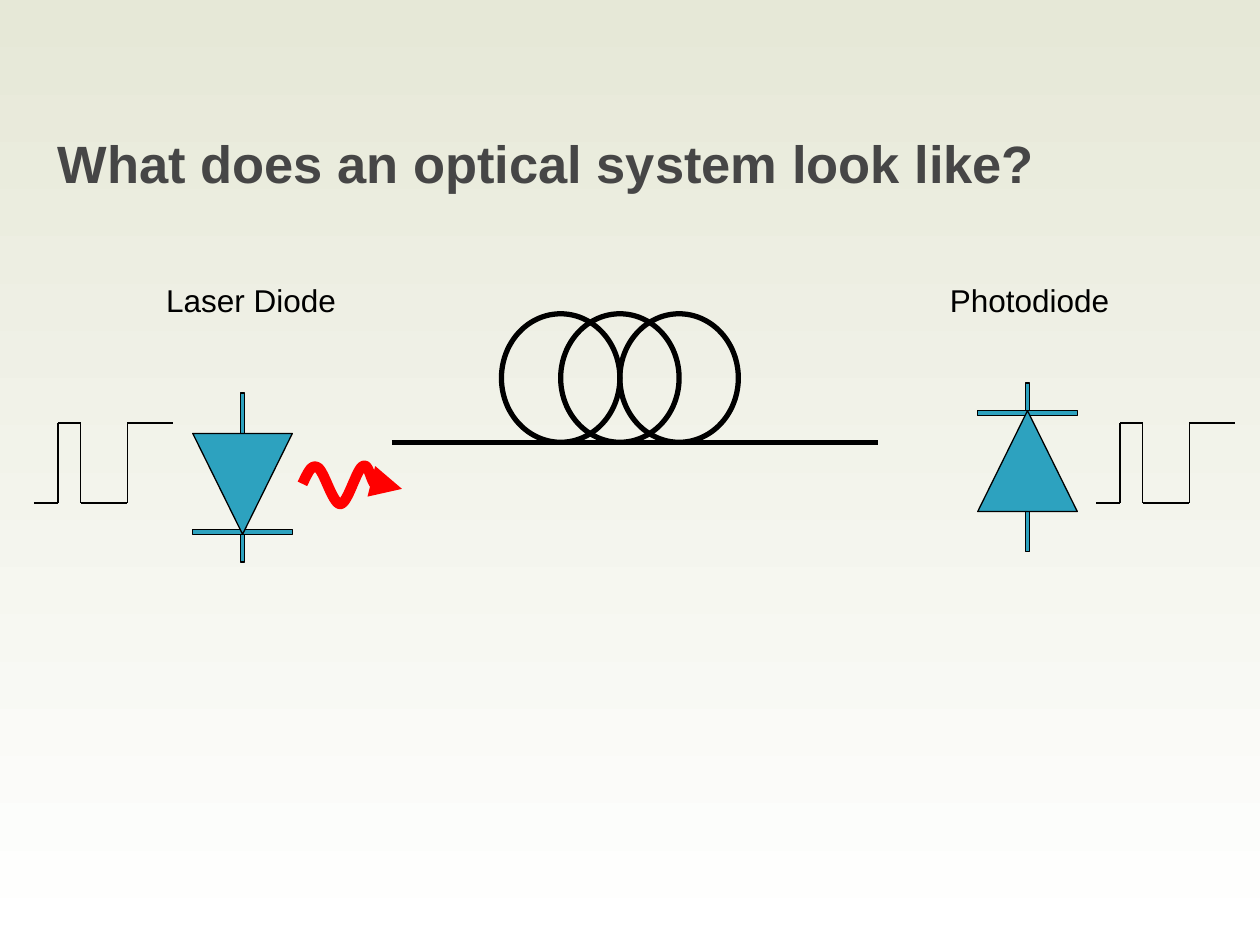
from dataclasses import dataclass

from lxml.etree import SubElement
from pptx import Presentation
from pptx.dml.color import RGBColor
from pptx.enum.shapes import MSO_CONNECTOR as Connector, MSO_SHAPE as Shape
from pptx.enum.text import MSO_ANCHOR as Anchor, MSO_AUTO_SIZE as AutoSize, PP_ALIGN as Align
from pptx.oxml.ns import qn
from pptx.util import Inches, Pt


@dataclass(frozen=True)
class Theme:
    """Colours, type sizes and line widths of the slide."""
    font: str = "Arial"
    sky: str = "E6E8D7"
    ground: str = "FFFFFF"
    heading: str = "464646"
    ink: str = "000000"
    diode: str = "2DA2BF"
    light: str = "FF0000"
    title_size: float = 30
    label_size: float = 18
    thin: float = 0.75
    signal: float = 1
    fiber: float = 3
    beam: float = 6


def bezier(start, control_a, control_b, end, steps=16):
    """Return points along a cubic curve, leaving out its start."""
    points = []
    for step in range(1, steps + 1):
        t = step / steps
        weights = ((1 - t) ** 3, 3 * t * (1 - t) ** 2, 3 * t ** 2 * (1 - t), t ** 3)
        corners = (start, control_a, control_b, end)
        points.append(tuple(sum(w * c[axis] for w, c in zip(weights, corners)) for axis in (0, 1)))
    return points


class OpticalSlide:
    """Draws the parts of an optical link on one slide."""

    def __init__(self, slide, theme):
        self.slide = slide
        self.theme = theme

    def background(self):
        fill = self.slide.background.fill
        fill.gradient()
        fill.gradient_angle = 270
        for stop, color in zip(fill.gradient_stops, (self.theme.sky, self.theme.ground)):
            stop.color.rgb = RGBColor.from_string(color)

    def group(self):
        return self.slide.shapes.add_group_shape().shapes

    def style_text(self, frame, text, size, color, bold=False):
        frame.text = text
        frame.word_wrap = True
        frame.vertical_anchor = Anchor.TOP
        paragraph = frame.paragraphs[0]
        paragraph.alignment = Align.LEFT
        font = paragraph.runs[0].font
        font.name, font.size, font.bold = self.theme.font, Pt(size), bold
        font.color.rgb = RGBColor.from_string(color)

    def title(self, text, left, top, width, height):
        heading = self.slide.shapes.title
        heading.left, heading.top = Inches(left), Inches(top)
        heading.width, heading.height = Inches(width), Inches(height)
        self.style_text(heading.text_frame, text, self.theme.title_size, self.theme.heading, True)

    def label(self, text, left, top=2.18, width=2.05, height=0.4):
        caption = self.slide.shapes.add_textbox(Inches(left), Inches(top), Inches(width), Inches(height))
        self.style_text(caption.text_frame, text, self.theme.label_size, self.theme.ink)
        caption.text_frame.auto_size = AutoSize.SHAPE_TO_FIT_TEXT

    def stroke(self, line, width, color):
        line.color.rgb = RGBColor.from_string(color)
        line.width = Pt(width)

    def line(self, shapes, start, end, width):
        wire = shapes.add_connector(Connector.STRAIGHT, *map(Inches, start + end))
        self.stroke(wire.line, width, self.theme.ink)
        SubElement(wire._element.spPr, qn("a:effectLst"))

    def shape(self, shapes, kind, box, width, fill=None, rotation=0):
        part = shapes.add_shape(kind, *map(Inches, box))
        part.shadow.inherit = False
        part.rotation = rotation
        if fill:
            part.fill.solid()
            part.fill.fore_color.rgb = RGBColor.from_string(fill)
        else:
            part.fill.background()
        self.stroke(part.line, width, self.theme.ink)

    def pulse(self, left, high=3.36, low=3.99):
        shapes = self.group()
        x = [left + offset for offset in (0, 0.19, 0.37, 0.74, 1.1)]
        for index, level in enumerate((low, high, low, high)):
            self.line(shapes, (x[index], level), (x[index + 1], level), self.theme.signal)
        for edge in x[1:4]:
            self.line(shapes, (edge, low), (edge, high), self.theme.thin)

    def diode(self, left, lead_top, bar_top, body_top, rotation):
        shapes = self.group()
        parts = (
            (Shape.RECTANGLE, (left + 0.38, lead_top, 0.03, 1.34)),
            (Shape.RECTANGLE, (left, bar_top, 0.79, 0.04)),
            (Shape.ISOSCELES_TRIANGLE, (left, body_top, 0.79, 0.8)),
        )
        for kind, box in parts:
            self.shape(shapes, kind, box, self.theme.thin, self.theme.diode, rotation)

    def fiber(self, left, right, base, first_loop, loop_width, loop_height):
        shapes = self.group()
        self.line(shapes, (left, base), (right, base), self.theme.fiber)
        for index in range(3):
            loop_left = first_loop + index * loop_width / 2
            box = (loop_left, base - loop_height, loop_width, loop_height)
            self.shape(shapes, Shape.OVAL, box, self.theme.fiber)

    def beam(self, start, curves):
        points = [start]
        for curve in curves:
            points += bezier(points[-1], *curve)
        points = [(Inches(x), Inches(y)) for x, y in points]
        builder = self.slide.shapes.build_freeform(*points[0])
        builder.add_line_segments(points[1:], close=False)
        wave = builder.convert_to_shape()
        wave.shadow.inherit = False
        wave.fill.background()
        self.stroke(wave.line, self.theme.beam, self.theme.light)
        SubElement(wave.line._get_or_add_ln(), qn("a:tailEnd"), type="triangle")


def main():
    deck = Presentation()
    deck.slide_width, deck.slide_height = Inches(10), Inches(7.5)
    page = OpticalSlide(deck.slides.add_slide(deck.slide_layouts[5]), Theme())
    page.background()
    page.title("What does an optical system look like?", 0.36, 0.99, 9.28, 1.42)
    page.pulse(8.7)
    page.diode(1.53, lead_top=3.12, bar_top=4.2, body_top=3.44, rotation=180)
    page.pulse(0.27)
    page.fiber(3.11, 6.97, base=3.51, first_loop=3.98, loop_width=0.94, loop_height=1.02)
    page.diode(7.76, lead_top=3.04, bar_top=3.26, body_top=3.26, rotation=0)
    page.beam((2.4, 3.84), (
        ((2.44, 3.76), (2.47, 3.68), (2.52, 3.71)),
        ((2.57, 3.73), (2.64, 4), (2.7, 4)),
        ((2.76, 4), (2.83, 3.72), (2.88, 3.7)),
        ((2.93, 3.67), (2.94, 3.83), (2.99, 3.86)),
        ((3.04, 3.89), (3.12, 3.88), (3.19, 3.88)),
    ))
    page.label("Laser Diode", 1.22)
    page.label("Photodiode", 7.44)
    deck.save("out.pptx")


if __name__ == "__main__":
    main()
